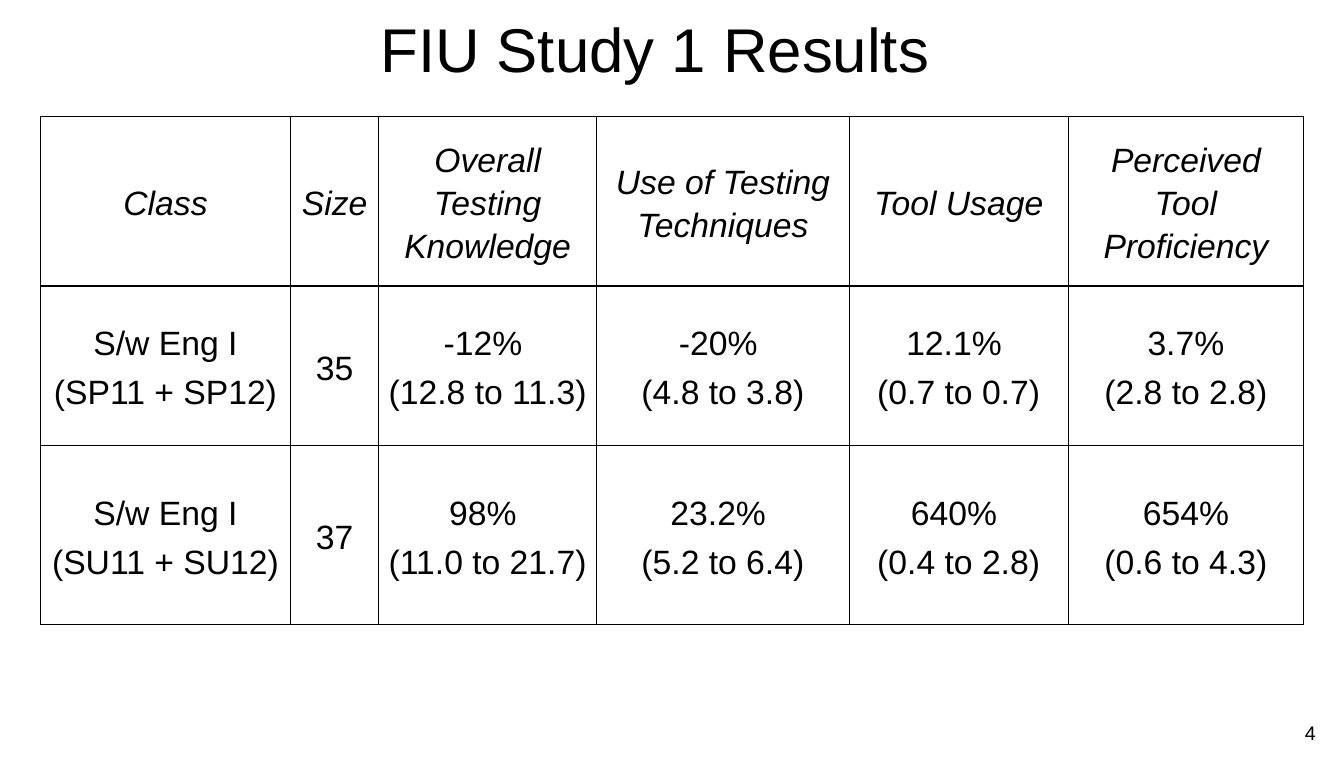
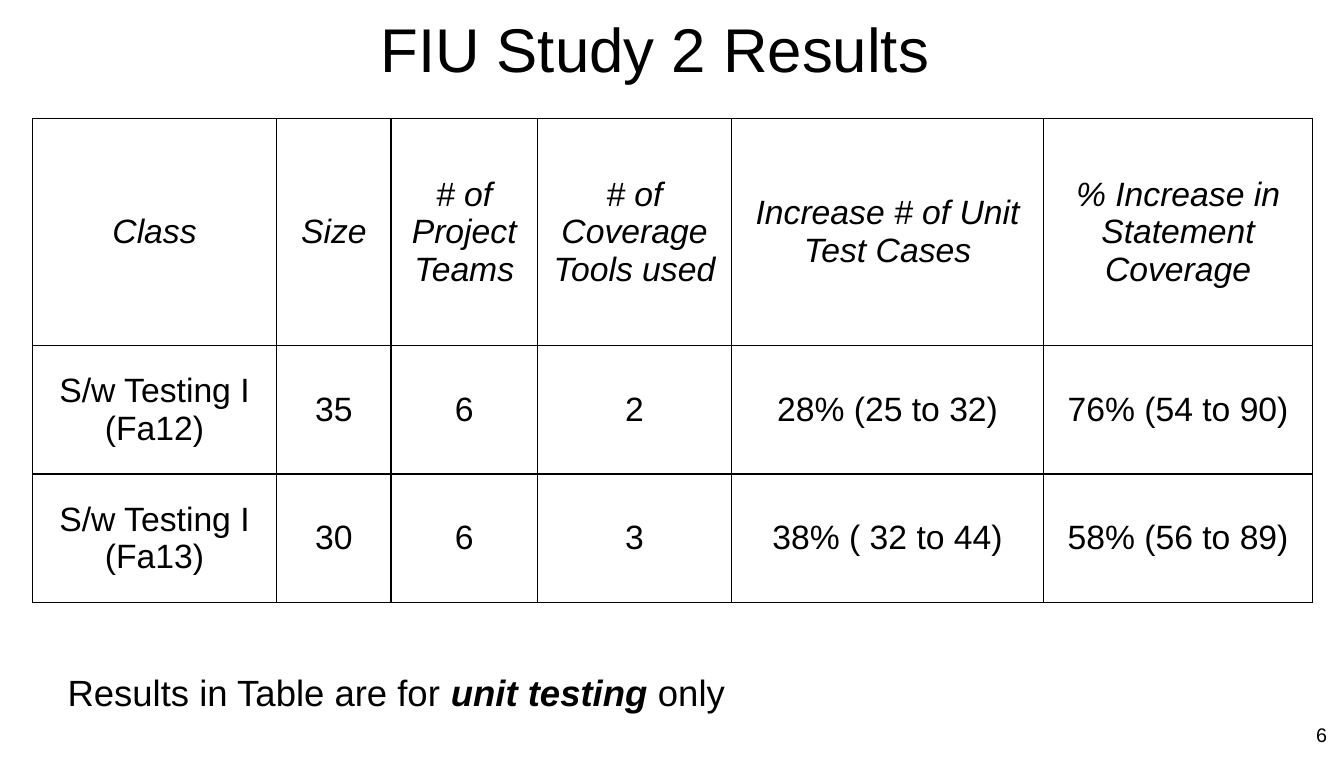
from itertools import product

from lxml import etree
from pptx import Presentation
from pptx import util as u
from pptx.dml.color import RGBColor
from pptx.enum import text
from pptx.oxml import ns

COLOURS = {"paper": "FFFFFF", "ink": "000000"}
FONT = "Arial"
ALIGN = text.PP_ALIGN
ANCHOR = text.MSO_ANCHOR
HEADING_TEXT = {"size": u.Pt(44), "bold": False, "italic": False}
HEADER_TEXT = {"size": u.Pt(24), "bold": False, "italic": True}
CELL_TEXT = {**HEADER_TEXT, "italic": False}
NOTE_TEXT = {"size": u.Pt(26), "bold": False, "italic": False}
STRESSED_TEXT = {**NOTE_TEXT, "bold": True, "italic": True}
PAGE_TEXT = {"size": u.Pt(14)}
CELL_BOX = {
    "margin_left": u.Inches(0.08),
    "margin_right": u.Inches(0.08),
    "margin_top": 0,
    "margin_bottom": 0,
    "vertical_anchor": ANCHOR.MIDDLE,
}
HEADING_BOX = {
    "auto_size": text.MSO_AUTO_SIZE.NONE,
    "margin_top": u.Inches(0.11),
    "margin_bottom": 0,
    "vertical_anchor": ANCHOR.TOP,
    "word_wrap": True,
}


def apply(target, values):
    for name, value in values.items():
        setattr(target, name, value)


def shares(total, weights):
    return [round(total * weight / sum(weights)) for weight in weights]


class Deck:
    GRID = 100

    def __init__(self, width, height):
        self.file = Presentation()
        apply(self.file, {"slide_width": u.Inches(width), "slide_height": u.Inches(height)})
        self.slide = None

    def area(self, left, top, width, height):
        column = self.file.slide_width / self.GRID
        row = self.file.slide_height / self.GRID
        return [round(n * unit) for n, unit in zip((left, top, width, height), (column, row) * 2)]

    def fill_paragraph(self, paragraph, pieces, **layout):
        apply(paragraph, layout)
        for words, style in pieces:
            run = paragraph.add_run()
            run.text = words
            apply(run.font, {"name": FONT, **style})
            run.font.color.rgb = RGBColor.from_string(COLOURS["ink"])

    def page(self, heading):
        self.slide = self.file.slides.add_slide(self.file.slide_layouts[5])
        backdrop = self.slide.background.fill
        backdrop.solid()
        backdrop.fore_color.rgb = RGBColor.from_string(COLOURS["paper"])
        title = self.slide.shapes.title
        apply(title, dict(zip(("left", "top", "width", "height"), self.area(0, 0, 97.5, 11.2))))
        apply(title.text_frame, HEADING_BOX)
        self.fill_paragraph(title.text_frame.paragraphs[0], [(heading, HEADING_TEXT)],
                            alignment=ALIGN.CENTER)

    def line(self, place, pieces, alignment=ALIGN.LEFT):
        frame = self.slide.shapes.add_textbox(*self.area(*place)).text_frame
        frame.word_wrap = True
        self.fill_paragraph(frame.paragraphs[0], pieces, alignment=alignment)

    def page_number(self, left, top, number):
        self.line((left, top, 4.14, 5.33), [(number, PAGE_TEXT)], ALIGN.RIGHT)

    def border(self, cell):
        properties = cell._tc.get_or_add_tcPr()
        for side in ("lnL", "lnR", "lnT", "lnB"):
            edge = etree.SubElement(properties, ns.qn(f"a:{side}"), w=str(u.Pt(1)))
            fill = etree.SubElement(edge, ns.qn("a:solidFill"))
            etree.SubElement(fill, ns.qn("a:srgbClr"), val=COLOURS["ink"])

    def table(self, place, widths, heights, records, line_spacing=1.0):
        area = self.area(*place)
        grid = self.slide.shapes.add_table(len(heights), len(widths), *area).table
        apply(grid, {"first_row": False, "horz_banding": False})
        for column, width in zip(grid.columns, shares(area[2], widths)):
            column.width = width
        for row, height in zip(grid.rows, shares(area[3], heights)):
            row.height = height
        for r, c in product(range(len(heights)), range(len(widths))):
            cell = grid.cell(r, c)
            apply(cell, CELL_BOX)
            self.border(cell)
            cell.fill.background()
            style = CELL_TEXT if r else HEADER_TEXT
            for index, words in enumerate(records[r][c].split("\n")):
                frame = cell.text_frame
                paragraph = frame.add_paragraph() if index else frame.paragraphs[0]
                self.fill_paragraph(
                    paragraph,
                    [(words, style)],
                    alignment=ALIGN.CENTER,
                    line_spacing=line_spacing,
                    space_before=u.Pt(2),
                    space_after=u.Pt(2),
                )


STUDY_1 = [
    ["Class", "Size", "Overall Testing Knowledge", "Use of Testing Techniques",
     "Tool Usage", "Perceived Tool Proficiency"],
    ["S/w Eng I\n(SP11 + SP12)", "35", "-12% \n(12.8 to 11.3)", "-20% \n(4.8 to 3.8)",
     "12.1% \n(0.7 to 0.7)", "3.7%\n(2.8 to 2.8)"],
    ["S/w Eng I\n(SU11 + SU12)", "37", "98% \n(11.0 to 21.7)", "23.2% \n(5.2 to 6.4)",
     "640% \n(0.4 to 2.8)", "654%\n(0.6 to 4.3)"],
]
STUDY_2 = [
    ["Class", "Size", "# of Project Teams", "# of Coverage Tools used",
     "Increase # of Unit Test Cases", "% Increase in Statement Coverage"],
    ["S/w Testing I (Fa12)", "35", "6", "2", "28% (25 to 32)", "76% (54 to 90)"],
    ["S/w Testing I (Fa13)", "30", "6", "3", "38% ( 32 to 44)", "58% (56 to 89)"],
]


def main():
    deck = Deck(13.3, 7.5)

    deck.page("FIU Study 1 Results")
    deck.table((3, 15.33, 94, 67.07), (2.48, 0.87, 2.16, 2.5, 2.17, 2.33),
               (1.68, 1.58, 1.77), STUDY_1, line_spacing=1.15)
    deck.page_number(94.5, 94.4, "4")

    deck.page("FIU Study 2 Results")
    deck.table((2.4, 15.6, 95.26, 63.87), (2.42, 1.13, 1.45, 1.92, 3.09, 2.66),
               (2.25, 1.27, 1.27), STUDY_2)
    deck.line((4.29, 87.73, 50.9, 7.2), [
        ("Results in Table are for ", NOTE_TEXT),
        ("unit testing ", STRESSED_TEXT),
        ("only", NOTE_TEXT),
    ])
    deck.page_number(95.34, 94.67, "6")

    deck.file.save("out.pptx")


if __name__ == "__main__":
    main()
